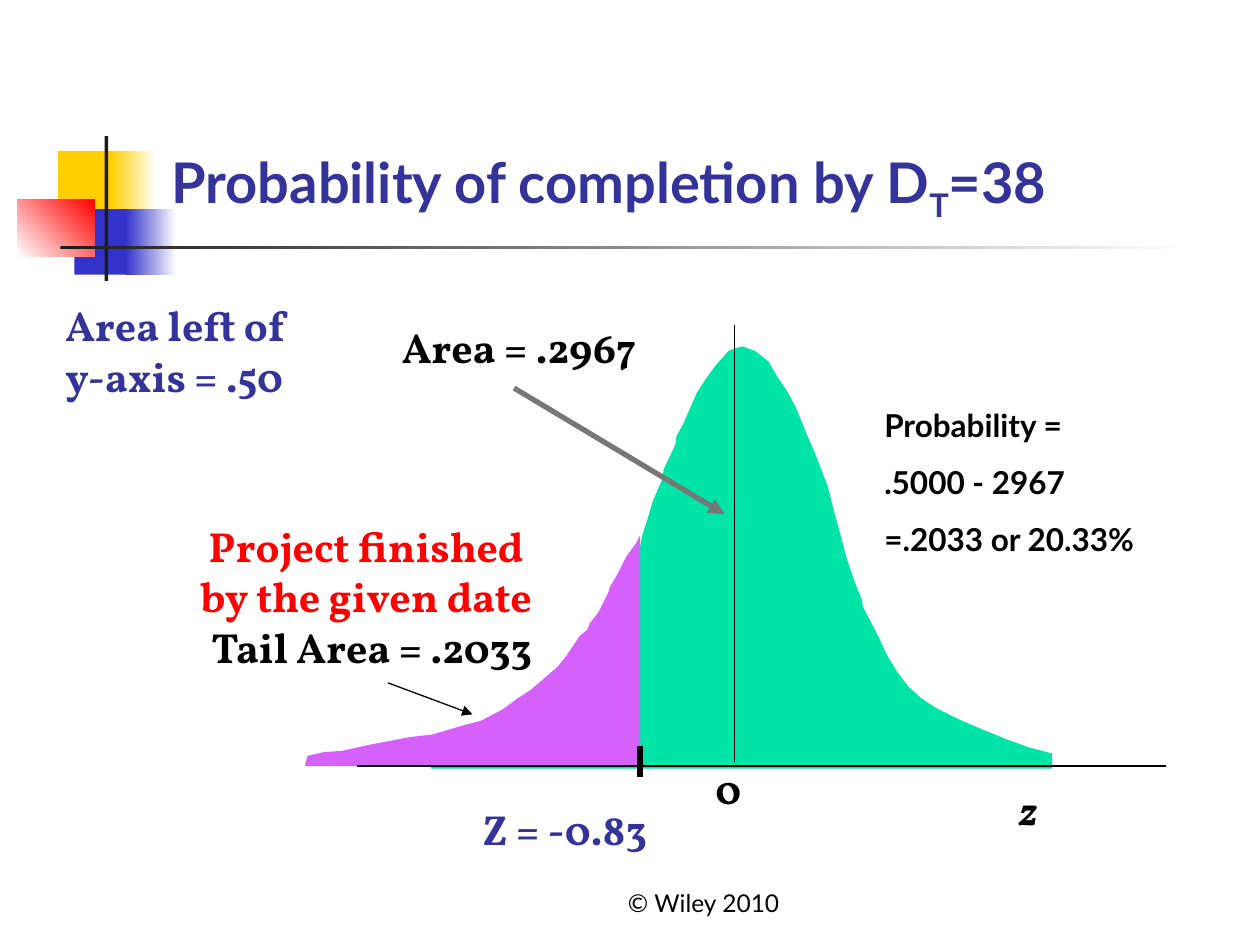
from lxml.etree import SubElement
from pptx import Presentation
from pptx.dml.color import RGBColor
from pptx.enum.shapes import MSO_CONNECTOR, MSO_SHAPE
from pptx.enum.text import MSO_ANCHOR, PP_ALIGN
from pptx.oxml.ns import qn
from pptx.util import Inches, Pt

COLORS = {
    "yellow": "FFCF01", "blue": "3333CC", "red": "FF0000", "white": "FFFFFF",
    "charcoal": "1C1C1C", "indigo": "333399", "black": "000000",
    "gray": "777777", "green": "00E4A8", "violet": "D560FA",
}


def rgb(name):
    return RGBColor.from_string(COLORS[name])


def write(paragraph, text, font="Vollkorn", size=24, color="black",
          bold=True, italic=False, baseline=0):
    run = paragraph.add_run()
    run.text = text
    run.font.name = font
    run.font.size = Pt(size)
    run.font.bold = bold
    run.font.italic = italic
    run.font.color.rgb = rgb(color)
    if baseline:
        run.font._element.set("baseline", str(baseline * 1000))


prs = Presentation()
prs.slide_width, prs.slide_height = Inches(10), Inches(7.5)
slide = prs.slides.add_slide(prs.slide_layouts[5])

# Corner ornament: left, top, width, height, start colour, end colour, angle
ornament = [
    (0.46, 1.2, 0.48, 0.52, "yellow", None, 0),
    (0.88, 1.2, 0.36, 0.52, "yellow", "white", 0),
    (0.59, 1.66, 0.46, 0.52, "blue", None, 0),
    (1, 1.66, 0.4, 0.52, "blue", "white", 0),
    (0.14, 1.58, 0.61, 0.46, "white", "red", 45),
    (0.83, 1.08, 0.03, 1.15, "charcoal", None, 0),
    (0.48, 1.95, 9, 0.03, "charcoal", "white", 0),
]
for left, top, width, height, start, end, angle in ornament:
    block = slide.shapes.add_shape(MSO_SHAPE.RECTANGLE, Inches(left), Inches(top),
                                   Inches(width), Inches(height))
    block.shadow.inherit = False
    block.line.fill.background()
    if end:
        block.fill.gradient()
        block.fill.gradient_angle = angle
        for stop, position, color in zip(block.fill.gradient_stops, (0, 1), (start, end)):
            stop.position = position
            stop.color.rgb = rgb(color)
    else:
        block.fill.solid()
        block.fill.fore_color.rgb = rgb(start)

# Title
title = slide.shapes.title
title.left, title.top = Inches(1.26), Inches(0.23)
title.width, title.height = Inches(8.52), Inches(1.6)
title.text_frame.vertical_anchor = MSO_ANCHOR.BOTTOM
heading = title.text_frame.paragraphs[0]
heading.alignment = PP_ALIGN.LEFT
for text, baseline in [("Probability of completion by D", 0), ("T", -25), ("=38", 0)]:
    write(heading, text, font="Lato", size=32, color="indigo", baseline=baseline)

# Areas under the bell curve
bell = [
    (5.9, 2.75), (6, 2.79), (6.1, 2.87), (6.17, 2.99), (6.25, 3.11), (6.32, 3.24),
    (6.4, 3.44), (6.47, 3.6), (6.52, 3.73), (6.57, 3.86), (6.62, 4.06), (6.67, 4.24),
    (6.72, 4.43), (6.78, 4.61), (6.84, 4.76), (6.85, 4.82), (6.92, 4.95), (6.98, 5.07),
    (7.04, 5.2), (7.12, 5.33), (7.21, 5.45), (7.31, 5.54), (7.43, 5.62), (7.59, 5.7),
    (7.75, 5.77), (7.97, 5.86), (8.16, 5.93), (8.35, 5.98), (8.35, 6.1), (3.42, 6.1),
    (3.43, 6), (3.57, 5.97), (3.78, 5.91), (4, 5.84), (4.14, 5.78), (4.28, 5.7),
    (4.42, 5.61), (4.54, 5.48), (4.64, 5.35), (4.76, 5.17), (4.85, 4.97), (4.93, 4.78),
    (5.01, 4.59), (5.07, 4.39), (5.1, 4.24), (5.14, 4.12), (5.18, 3.98), (5.25, 3.82),
    (5.27, 3.72), (5.36, 3.53), (5.37, 3.46), (5.42, 3.37), (5.46, 3.28), (5.53, 3.12),
    (5.6, 3.01), (5.68, 2.9), (5.76, 2.81), (5.79, 2.78), (5.88, 2.75),
]
tail = [
    (5.08, 4.25), (5.05, 4.31), (4.97, 4.42), (4.9, 4.56), (4.84, 4.66), (4.83, 4.7),
    (4.75, 4.86), (4.68, 4.95), (4.66, 5), (4.6, 5.05), (4.5, 5.2), (4.42, 5.3),
    (4.37, 5.34), (4.22, 5.47), (4.1, 5.55), (3.99, 5.63), (3.82, 5.72), (3.67, 5.76),
    (3.43, 5.83), (3.26, 5.85), (2.94, 5.91), (2.71, 5.96), (2.57, 5.97), (2.44, 6),
    (2.42, 6.08), (5.08, 6.08),
]
for outline, color in [(bell, "green"), (tail, "violet")]:
    points = [(Inches(x), Inches(y)) for x, y in outline]
    builder = slide.shapes.build_freeform(*points[0], scale=1.0)
    builder.add_line_segments(points[1:], close=True)
    area = builder.convert_to_shape()
    area.shadow.inherit = False
    area.fill.solid()
    area.fill.fore_color.rgb = rgb(color)
    area.line.fill.background()

# Axes, z mark and pointers: x1, y1, x2, y2, colour, weight, arrow
strokes = [
    (2.83, 6.08, 9.25, 6.08, "black", 1, False),
    (5.83, 2.58, 5.83, 6.05, "black", 1, False),
    (5.08, 5.92, 5.08, 6.17, "black", 3, False),
    (4.08, 3.08, 5.75, 4.08, "gray", 3, True),
    (3.08, 5.42, 3.75, 5.67, "black", 0.75, True),
]
for x1, y1, x2, y2, color, weight, arrow in strokes:
    stroke = slide.shapes.add_connector(MSO_CONNECTOR.STRAIGHT, Inches(x1), Inches(y1),
                                        Inches(x2), Inches(y2))
    stroke.line.color.rgb = rgb(color)
    stroke.line.width = Pt(weight)
    if arrow:
        SubElement(stroke.line._get_or_add_ln(), qn("a:tailEnd"), type="triangle")
    SubElement(stroke._element.spPr, qn("a:effectLst"))

# Labels: left, top, width, height, alignment, lines with their format
lato = {"font": "Lato", "size": 18}
indigo = {"color": "indigo"}
red = {"color": "red"}
labels = [
    (4, 6.83, 3.17, 0.5, PP_ALIGN.CENTER,
     [("© Wiley 2010", {"font": "Lato", "size": 14, "bold": False})]),
    (3.73, 6.33, 1.54, 0.5, PP_ALIGN.LEFT, [("Z = -0.83", indigo)]),
    (7.99, 6.17, 0.38, 0.5, PP_ALIGN.LEFT, [("z", {"italic": True})]),
    (5.58, 6, 0.36, 0.5, PP_ALIGN.LEFT, [("0", {})]),
    (1, 4.08, 3.32, 1.3, PP_ALIGN.RIGHT,
     [("Project finished ", red), ("by the given date", red), ("Tail Area = .2033", {})]),
    (3.09, 2.5, 2.22, 0.5, PP_ALIGN.LEFT, [("Area = .2967", {})]),
    (0.42, 2.33, 2.25, 0.9, PP_ALIGN.LEFT, [("Area left of y-axis = .50", indigo)]),
    (6.92, 3.17, 2.67, 1.32, PP_ALIGN.LEFT,
     [("Probability =", lato), (".5000 - 2967", lato), ("=.2033 or 20.33%", lato)]),
]
for left, top, width, height, alignment, lines in labels:
    frame = slide.shapes.add_textbox(Inches(left), Inches(top),
                                     Inches(width), Inches(height)).text_frame
    frame.word_wrap = len(lines) > 1 or width > 2.23
    if alignment == PP_ALIGN.CENTER:
        frame.vertical_anchor = MSO_ANCHOR.BOTTOM
    for index, (text, style) in enumerate(lines):
        paragraph = frame.add_paragraph() if index else frame.paragraphs[0]
        paragraph.alignment = alignment
        if index and style is lato:
            paragraph.space_before = Pt(11.2)
        write(paragraph, text, **style)

prs.save("out.pptx")
